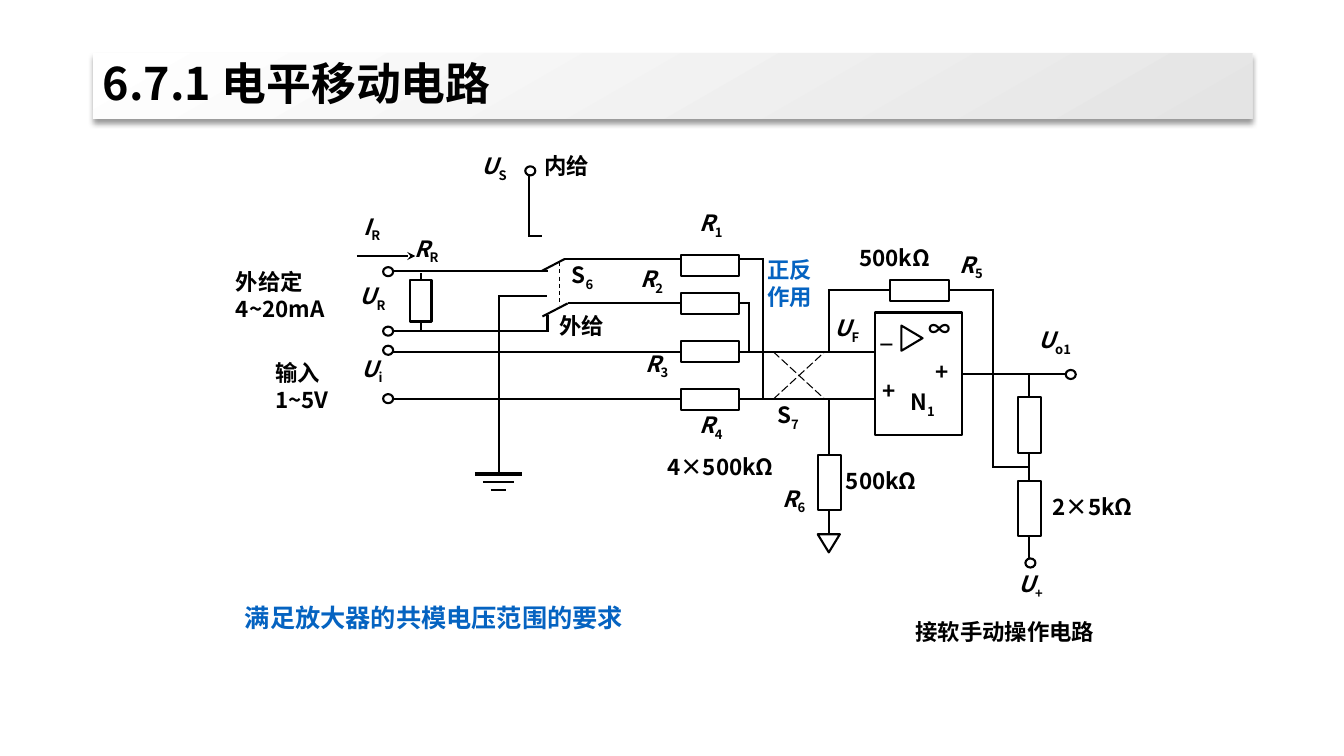
from lxml.etree import SubElement
from pptx import Presentation
from pptx.dml.color import RGBColor
from pptx.enum.dml import MSO_LINE
from pptx.enum.shapes import MSO_CONNECTOR, MSO_SHAPE
from pptx.enum.text import MSO_ANCHOR, MSO_AUTO_SIZE, PP_ALIGN
from pptx.oxml.ns import qn
from pptx.util import Inches, Pt

FONT = "Noto Sans CJK SC"
BLACK, WHITE, BLUE = "000000", "FFFFFF", "0563C1"


def color(hex_string):
    return RGBColor.from_string(hex_string)


def add_text(paragraph, text, size=16, ink=BLACK, italic=False, subscript=False):
    run = paragraph.add_run()
    run.text = text
    run.font.name = FONT
    run.font.size = Pt(size)
    run.font.bold = True
    run.font.italic = italic
    run.font.color.rgb = color(ink)
    properties = run.font._element
    SubElement(properties, qn("a:ea")).set("typeface", FONT)
    if subscript:
        properties.set("baseline", "-25000")


class CircuitSlide:
    def __init__(self, presentation):
        self.slide = presentation.slides.add_slide(presentation.slide_layouts[5])
        self.shapes = self.slide.shapes

    def title(self, text, left, top, width, height):
        shape = self.shapes.title
        shape.left, shape.top = Inches(left), Inches(top)
        shape.width, shape.height = Inches(width), Inches(height)
        shape.fill.gradient()
        shape.fill.gradient_angle = 300
        for stop, shade, position in zip(shape.fill.gradient_stops, (WHITE, "E4E4E4"), (0, 1)):
            stop.color.rgb = color(shade)
            stop.position = position
        effects = SubElement(shape._element.spPr, qn("a:effectLst"))
        shadow = SubElement(effects, qn("a:outerShdw"), blurRad=str(Pt(4)),
                            dist=str(Pt(3)), dir="5400000", algn="t", rotWithShape="0")
        shade = SubElement(shadow, qn("a:srgbClr"), val=BLACK)
        SubElement(shade, qn("a:alpha"), val="40000")
        frame = shape.text_frame
        frame.auto_size = MSO_AUTO_SIZE.NONE
        frame.vertical_anchor = MSO_ANCHOR.MIDDLE
        paragraph = frame.paragraphs[0]
        paragraph.alignment = PP_ALIGN.LEFT
        paragraph.line_spacing = 0.9
        add_text(paragraph, text, size=32)

    def symbol(self, kind, left, top, width, height, rotation=0, filled=True):
        shape = self.shapes.add_shape(kind, Inches(left), Inches(top),
                                      Inches(width), Inches(height))
        shape.shadow.inherit = False
        shape.rotation = rotation
        if filled:
            shape.fill.solid()
            shape.fill.fore_color.rgb = color(WHITE)
        else:
            shape.fill.background()
        shape.line.color.rgb = color(BLACK)
        shape.line.width = Pt(1.5)
        return shape

    def resistor(self, left, top, upright=False, width=0.58, height=0.21):
        if upright:
            width, height = 0.23, 0.55
        return self.symbol(MSO_SHAPE.RECTANGLE, left, top, width, height)

    def terminal(self, left, top):
        return self.symbol(MSO_SHAPE.OVAL, left, top, 0.1, 0.09)

    def wire(self, x1, y1, x2, y2, weight=1.5, dash=None, arrow=False):
        line = self.shapes.add_connector(MSO_CONNECTOR.STRAIGHT, Inches(x1), Inches(y1),
                                         Inches(x2), Inches(y2))
        line.line.color.rgb = color(BLACK)
        line.line.width = Pt(weight)
        if dash:
            line.line.dash_style = dash
        if arrow:
            SubElement(line.line._ln, qn("a:tailEnd"), type="stealth")
        SubElement(line._element.spPr, qn("a:effectLst"))
        return line

    def label(self, text, left, top, width=0.37, height=0.34, subscript="",
              italic=False, size=16, ink=BLACK, inset=0, wrap=True):
        box = self.shapes.add_textbox(Inches(left), Inches(top), Inches(width), Inches(height))
        frame = box.text_frame
        frame.word_wrap = wrap
        frame.margin_left = frame.margin_right = Inches(inset)
        frame.margin_top = frame.margin_bottom = Inches(inset / 2)
        for index, line in enumerate(text.split("\n")):
            paragraph = frame.add_paragraph() if index else frame.paragraphs[0]
            add_text(paragraph, line, size=size, ink=ink, italic=italic)
        if subscript:
            add_text(paragraph, subscript, size=size, ink=ink, subscript=True)


def main():
    presentation = Presentation()
    presentation.slide_width, presentation.slide_height = Inches(13.33), Inches(7.5)
    circuit = CircuitSlide(presentation)
    circuit.title("6.7.1 电平移动电路", 0.92, 0.53, 11.5, 0.65)

    # Wires
    wires = [
        (3.9, 2.69, 5.44, 2.69), (3.9, 3.28, 5.43, 3.28),      # reference inputs
        (3.9, 3.49, 8.68, 3.49), (3.9, 3.96, 8.68, 3.96),      # signal inputs
        (4.18, 2.71, 4.18, 3.27), (5.43, 3.13, 5.43, 3.29),
        (5.25, 1.74, 5.25, 2.35), (5.25, 2.34, 5.38, 2.34),    # internal reference
        (4.94, 2.94, 5.43, 2.94), (4.95, 2.94, 4.95, 4.69),    # ground lead
        (5.37, 2.69, 5.6, 2.57), (5.38, 3.14, 5.63, 3.01),     # switch S6 blades
        (5.59, 2.57, 7.58, 2.57), (5.63, 3.01, 7.43, 3.01),
        (7.43, 3.0, 7.43, 3.49), (7.57, 2.56, 7.57, 3.97),
        (8.22, 3.49, 8.22, 2.88), (8.21, 2.88, 9.86, 2.88),    # feedback
        (9.85, 2.88, 9.85, 4.64), (9.85, 4.63, 10.21, 4.63),
        (8.22, 3.96, 8.22, 5.3), (10.21, 3.72, 10.21, 5.54),
    ]
    for ends in wires:
        circuit.wire(*ends)
    circuit.wire(3.54, 2.54, 4.12, 2.54, arrow=True)

    # Dashed links of switches S6 and S7
    circuit.wire(5.55, 2.6, 5.55, 3.03, weight=0.75, dash=MSO_LINE.DASH)
    for start, end in ((3.49, 3.96), (3.96, 3.49)):
        circuit.wire(7.67, start, 8.18, end, weight=0.75, dash=MSO_LINE.LONG_DASH)

    # Ground symbols
    for step, weight in enumerate((2.5, 1, 1)):
        y = 4.7 + 0.08 * step
        circuit.wire(4.71 + 0.08 * step, y, 5.18 - 0.08 * step, y, weight=weight)
    circuit.symbol(MSO_SHAPE.ISOSCELES_TRIANGLE, 8.11, 5.3, 0.22, 0.18,
                   rotation=180, filled=False)

    # Resistors
    for left, top in ((6.75, 2.53), (6.75, 2.91), (6.75, 3.38), (6.75, 3.86), (8.83, 2.78)):
        circuit.resistor(left, top)
    for left, top in ((8.11, 4.51), (10.1, 3.94), (10.1, 4.77)):
        circuit.resistor(left, top, upright=True)
    circuit.resistor(4.07, 2.78, width=0.21, height=0.41)

    # Amplifier and its output
    amplifier = circuit.symbol(MSO_SHAPE.RECTANGLE, 8.68, 3.1, 0.86, 1.22)
    circuit.symbol(MSO_SHAPE.ISOSCELES_TRIANGLE, 8.92, 3.25, 0.25, 0.21, rotation=90)
    output = circuit.wire(9.54, 3.71, 10.59, 3.71)
    output.begin_connect(amplifier, 3)

    # Terminals
    for left, top in ((3.8, 2.65), (3.8, 3.24), (3.8, 3.43), (3.8, 3.91),
                      (5.21, 1.65), (10.57, 3.67), (10.17, 5.54)):
        circuit.terminal(left, top)

    # Quantities with an italic letter and a subscript
    quantities = [
        ("U", "S", 4.78, 1.51), ("I", "R", 3.61, 2.11), ("R", "R", 4.11, 2.33),
        ("U", "R", 3.57, 2.8), ("U", "i", 3.59, 3.52), ("U", "F", 8.28, 3.12),
        ("U", "o1", 10.3, 3.24), ("U", "+", 10.1, 5.66),
        ("R", "1", 6.94, 2.08), ("R", "2", 6.35, 2.63), ("R", "3", 6.4, 3.47),
        ("R", "4", 6.94, 4.08), ("R", "5", 9.52, 2.49), ("R", "6", 7.76, 4.81),
    ]
    for letter, subscript, left, top in quantities:
        circuit.label(letter, left, top, subscript=subscript, italic=True, width=0.45)

    # Upright names with a subscript
    for letter, subscript, left, top in (("S", "6", 5.67, 2.59), ("S", "7", 7.71, 3.98),
                                         ("N", "1", 9.03, 3.85)):
        circuit.label(letter, left, top, subscript=subscript)

    # Plain labels
    plain_labels = [
        ("内给", 5.4, 1.51, 0.62), ("外给", 5.55, 3.1, 0.62),
        ("外给定\n4~20mA", 2.34, 2.66, 1.19), ("输入\n1~5V", 2.73, 3.56, 0.91),
        ("500kΩ", 8.52, 2.42, 1.12), ("500kΩ", 8.39, 4.63, 1.12),
        ("4×500kΩ", 6.62, 4.5, 1.59), ("2×5kΩ", 10.44, 4.89, 1.59),
        ("∞", 9.21, 3.13, 0.28), ("_", 8.73, 3.18, 0.18),
        ("+", 8.75, 3.74, 0.17), ("+", 9.28, 3.55, 0.17),
        ("接软手动操作电路", 9.08, 6.13, 2.45),
    ]
    for text, left, top, width in plain_labels:
        circuit.label(text, left, top, width, height=0.34 * len(text.split("\n")))

    # Blue remarks
    circuit.label("正反\n作用", 7.61, 2.54, 1.13, 0.63, ink=BLUE)
    circuit.label("满足放大器的共模电压范围的要求", 2.33, 5.93, 4.06, 0.4,
                  size=18, ink=BLUE, inset=0.1, wrap=False)

    presentation.save("out.pptx")


if __name__ == "__main__":
    main()
